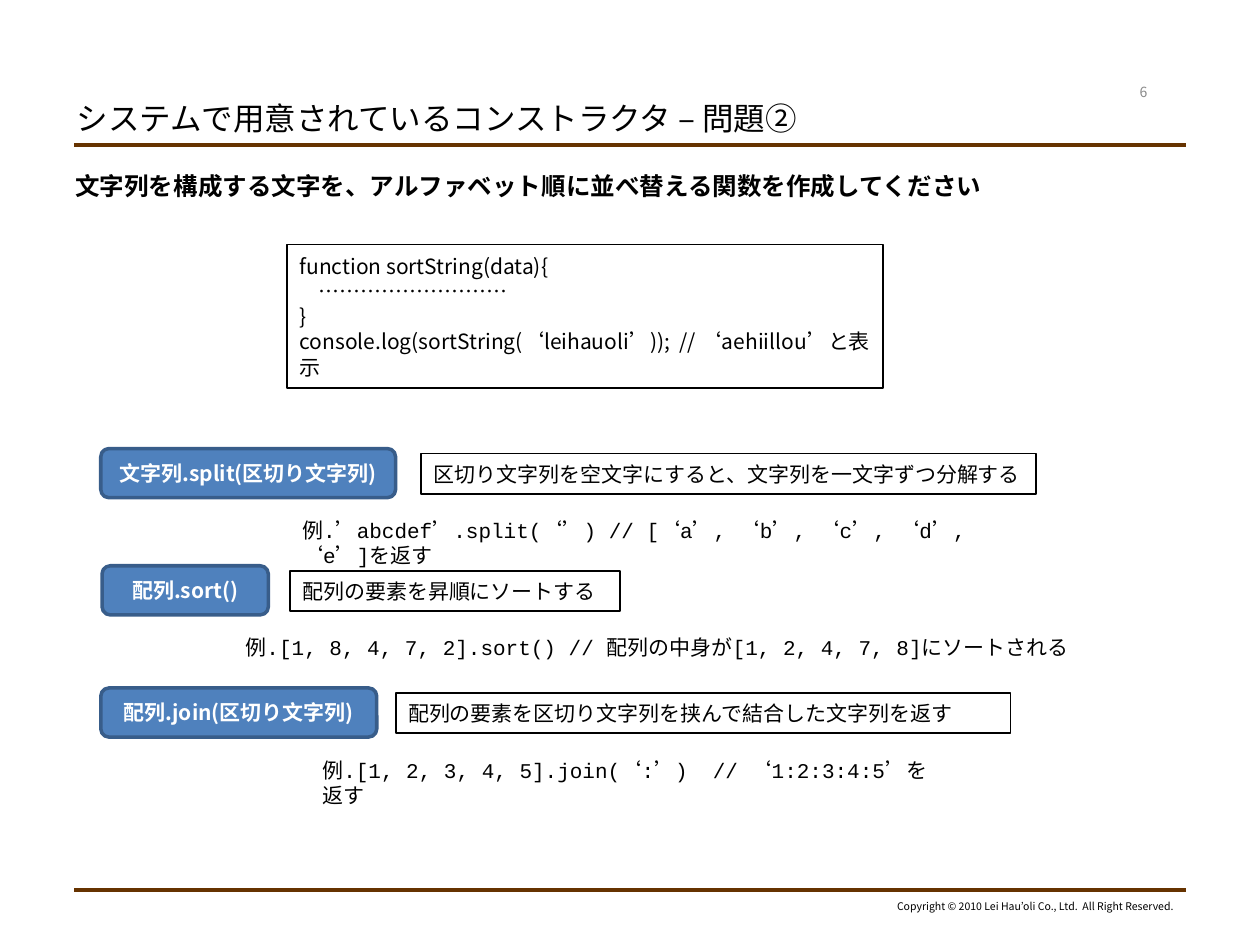
from dataclasses import dataclass
from lxml.etree import SubElement
from pptx import Presentation
from pptx.dml.color import RGBColor
from pptx.enum.shapes import MSO_CONNECTOR, MSO_SHAPE
from pptx.enum.text import MSO_ANCHOR, PP_ALIGN
from pptx.oxml.ns import qn
from pptx.util import Inches, Pt


@dataclass(frozen=True)
class Theme:
    sans: str = "Noto Sans CJK JP"
    mono: str = "Courier New"
    ink: str = "000000"
    white: str = "FFFFFF"
    gray: str = "898989"
    brown: str = "663300"
    blue: str = "4F81BD"
    navy: str = "385D8A"
    title: float = 18
    lead: float = 14
    body: float = 12
    page: float = 8
    foot: float = 6


class Deck:
    def __init__(self, theme):
        self.theme = theme
        self.file = Presentation()
        self.file.slide_width = Inches(10)
        self.file.slide_height = Inches(7.5)
        self.slide = self.file.slides.add_slide(self.file.slide_layouts[6])

    def label(self, shape, text, size, color=None, font=None, bold=False,
              align=PP_ALIGN.LEFT, anchor=MSO_ANCHOR.MIDDLE, wrap=True):
        frame = shape.text_frame
        look = {"word_wrap": wrap, "vertical_anchor": anchor,
                "margin_left": Inches(0.1), "margin_right": Inches(0.1),
                "margin_top": Inches(0.05), "margin_bottom": Inches(0.05)}
        for name, value in look.items():
            setattr(frame, name, value)
        style = {"size": Pt(size), "bold": bold, "name": font or self.theme.sans}
        for i, line in enumerate(text.split("\n")):
            para = frame.add_paragraph() if i else frame.paragraphs[0]
            para.alignment = align
            run = para.add_run()
            run.text = line
            for name, value in style.items():
                setattr(run.font, name, value)
            run.font.color.rgb = RGBColor.from_string(color or self.theme.ink)
            east = SubElement(run.font._element, qn("a:ea"))
            east.set("typeface", self.theme.sans)

    def text(self, box, text, size, **look):
        shape = self.slide.shapes.add_textbox(*map(Inches, box))
        self.label(shape, text, size, **look)

    def shape(self, kind, box, line, width, fill=None):
        shape = self.slide.shapes.add_shape(kind, *map(Inches, box))
        shape.shadow.inherit = False
        shape.line.color.rgb = RGBColor.from_string(line)
        shape.line.width = Pt(width)
        if fill:
            shape.fill.solid()
            shape.fill.fore_color.rgb = RGBColor.from_string(fill)
        else:
            shape.fill.background()
        return shape

    def frame(self, box, text):
        shape = self.shape(MSO_SHAPE.RECTANGLE, box, self.theme.ink, 1)
        self.label(shape, text, self.theme.body)

    def badge(self, box, text):
        theme = self.theme
        shape = self.shape(MSO_SHAPE.ROUNDED_RECTANGLE, box, theme.navy, 2, theme.blue)
        self.label(shape, text, theme.body, color=theme.white, bold=True,
                   align=PP_ALIGN.CENTER)

    def rule(self, top):
        line = self.slide.shapes.add_connector(
            MSO_CONNECTOR.STRAIGHT, Inches(0.59), Inches(top), Inches(9.41), Inches(top))
        line.line.color.rgb = RGBColor.from_string(self.theme.brown)
        line.line.width = Pt(2.25)
        SubElement(line._element.spPr, qn("a:effectLst"))


CODE = """function sortString(data){
    ………………………
}
console.log(sortString(‘leihauoli’));  // ‘aehiillou’と表示"""

METHODS = [
    (3.56, (0.8, 2.34), "文字列.split(区切り文字列)",
     (3.34, 4.88), "区切り文字列を空文字にすると、文字列を一文字ずつ分解する",
     (2.3, 5.79), "例.’abcdef’.split(‘’) // [‘a’, ‘b’, ‘c’, ‘d’, ‘e’]を返す"),
    (4.49, (0.81, 1.32), "配列.sort()",
     (2.3, 2.62), "配列の要素を昇順にソートする",
     (1.85, 6.89), "例.[1, 8, 4, 7, 2].sort() // 配列の中身が[1, 2, 4, 7, 8]にソートされる"),
    (5.46, (0.8, 2.19), "配列.join(区切り文字列)",
     (3.14, 4.88), "配列の要素を区切り文字列を挟んで結合した文字列を返す",
     (2.46, 5.1), "例.[1, 2, 3, 4, 5].join(‘:’)  // ‘1:2:3:4:5’を返す"),
]


def main():
    theme = Theme()
    deck = Deck(theme)
    for top in (1.15, 7.06):
        deck.rule(top)
    deck.text((6.99, 7.09, 2.42, 0.2),
              "Copyright © 2010 Lei Hau’oli Co., Ltd.  All Right Reserved.",
              theme.foot, align=PP_ALIGN.RIGHT, anchor=MSO_ANCHOR.TOP, wrap=False)
    deck.text((0.51, 0.76, 6.14, 0.35),
              "システムで用意されているコンストラクタ – 問題②", theme.title)
    deck.text((8.78, 0.61, 0.59, 0.24), "6", theme.page,
              color=theme.gray, align=PP_ALIGN.CENTER)
    deck.text((0.5, 1.31, 9, 5.59),
              "文字列を構成する文字を、アルファベット順に並べ替える関数を作成してください",
              theme.lead, bold=True, anchor=MSO_ANCHOR.TOP)
    deck.frame((2.28, 1.94, 4.73, 1.14), CODE)
    for top, (left, width), call, (start, span), note, (edge, room), sample in METHODS:
        deck.badge((left, top, width, 0.39), call)
        deck.frame((start, top + 0.04, span, 0.32), note)
        deck.text((edge, top + 0.5, room, 0.3), sample, theme.body,
                  font=theme.mono, anchor=MSO_ANCHOR.TOP)
    deck.file.save("out.pptx")


if __name__ == "__main__":
    main()
